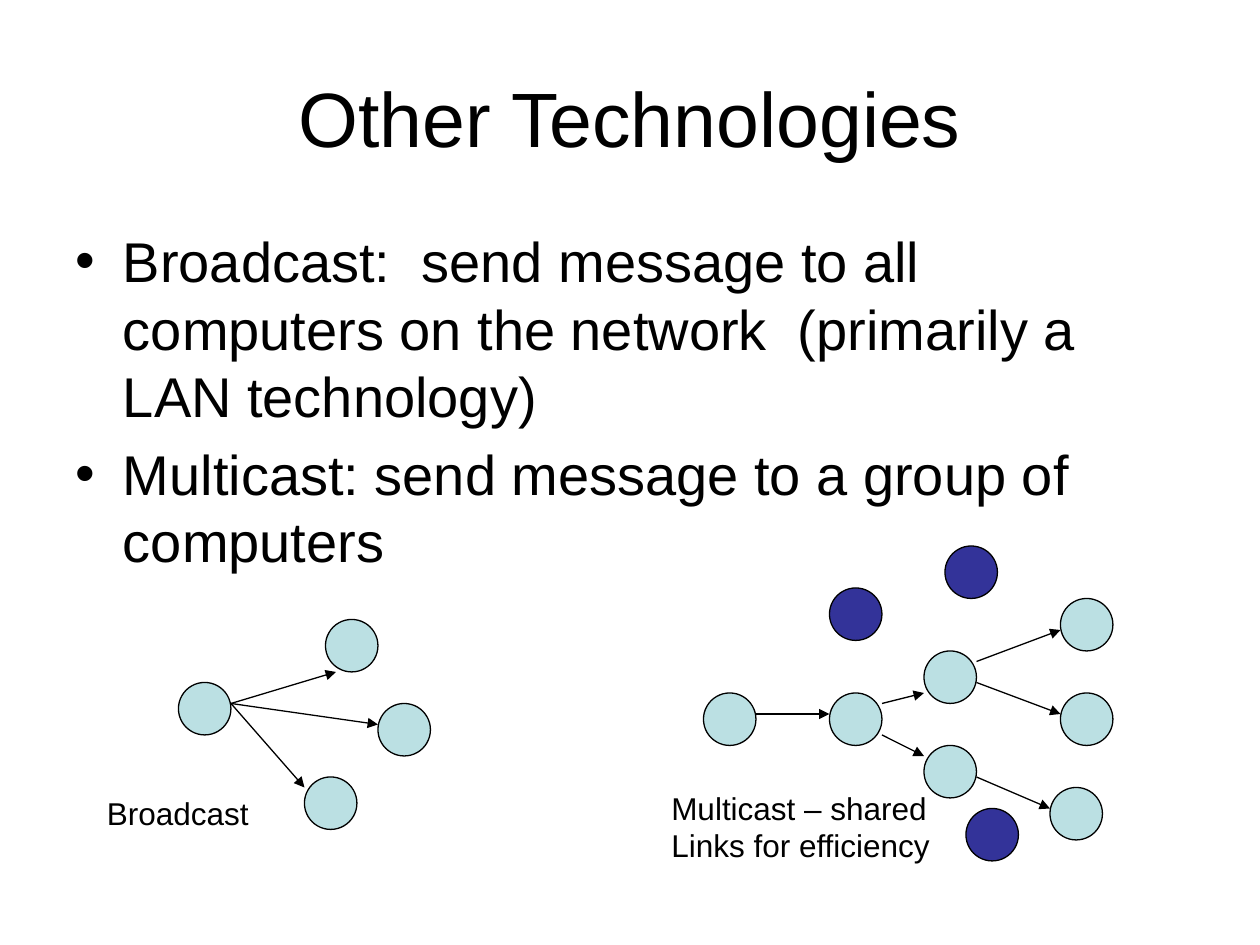
from typing import NamedTuple

from lxml.etree import SubElement
from pptx import Presentation
from pptx.dml.color import RGBColor
from pptx.enum.shapes import MSO_CONNECTOR, MSO_SHAPE
from pptx.enum.text import MSO_ANCHOR, MSO_AUTO_SIZE, PP_ALIGN
from pptx.oxml.ns import qn
from pptx.util import Inches, Pt

GRID_STEPS_PER_INCH = 12
NODE_STEPS = 5
MEMBER, OUTSIDER, INK = "BBE0E3", "333399", "000000"


class Node(NamedTuple):
    column: int
    row: int
    color: str = MEMBER


class Link(NamedTuple):
    start: tuple[int, int]
    end: tuple[int, int]


class Caption(NamedTuple):
    left: float
    top: float
    width: float
    height: float
    text: str


BROADCAST_NODES = [Node(17, 65), Node(29, 74), Node(36, 67), Node(31, 59)]
BROADCAST_LINKS = [Link((22, 67), end) for end in ((32, 64), (36, 69), (29, 75))]

MULTICAST_NODES = [
    Node(67, 66), Node(79, 66),
    Node(88, 71), Node(88, 62),
    Node(100, 75), Node(101, 66), Node(101, 57),
    Node(92, 77, OUTSIDER), Node(90, 52, OUTSIDER), Node(79, 56, OUTSIDER),
]
MULTICAST_LINKS = [
    Link((72, 68), (79, 68)),
    Link((84, 67), (88, 66)), Link((84, 70), (88, 72)),
    Link((93, 63), (101, 60)), Link((93, 65), (101, 68)),
    Link((93, 74), (100, 77)),
]

CAPTIONS = [
    Caption(0.75, 6.25, 1.33, 0.4, "Broadcast"),
    Caption(5.23, 6.21, 2.26, 0.7, "Multicast – shared\nLinks for efficiency"),
]

DEFINITIONS = [
    "Broadcast:  send message to all computers on the network  (primarily a LAN technology)",
    "Multicast: send message to a group of computers",
]


def rgb(code: str) -> RGBColor:
    return RGBColor.from_string(code)


def grid(steps: int) -> int:
    """Convert grid steps to a slide length."""
    return Inches(steps / GRID_STEPS_PER_INCH)


def style_text(frame, size: int) -> None:
    for paragraph in frame.paragraphs:
        for run in paragraph.runs:
            run.font.name = "Arial"
            run.font.size = Pt(size)
            run.font.color.rgb = rgb(INK)


def place(shape, left: float, top: float, width: float, height: float) -> None:
    shape.left, shape.top = Inches(left), Inches(top)
    shape.width, shape.height = Inches(width), Inches(height)


def draw_node(slide, node: Node) -> None:
    circle = slide.shapes.add_shape(
        MSO_SHAPE.OVAL, grid(node.column), grid(node.row), grid(NODE_STEPS), grid(NODE_STEPS)
    )
    circle.shadow.inherit = False
    circle.fill.solid()
    circle.fill.fore_color.rgb = rgb(node.color)
    circle.line.color.rgb = rgb(INK)
    circle.line.width = Pt(0.75)


def draw_link(slide, link: Link) -> None:
    arrow = slide.shapes.add_connector(
        MSO_CONNECTOR.STRAIGHT, *map(grid, link.start), *map(grid, link.end)
    )
    arrow.line.color.rgb = rgb(INK)
    arrow.line.width = Pt(0.75)
    SubElement(arrow.line._get_or_add_ln(), qn("a:tailEnd"), type="triangle")
    SubElement(arrow._element.spPr, qn("a:effectLst"))


def draw_caption(slide, caption: Caption) -> None:
    box = slide.shapes.add_textbox(*map(Inches, caption[:4]))
    frame = box.text_frame
    frame.text = caption.text
    frame.word_wrap = False
    frame.auto_size = MSO_AUTO_SIZE.SHAPE_TO_FIT_TEXT
    style_text(frame, 18)


def fill_title(slide) -> None:
    title = slide.shapes.title
    place(title, 0.5, 0.3, 9, 1.25)
    frame = title.text_frame
    frame.text = "Other Technologies"
    frame.vertical_anchor = MSO_ANCHOR.MIDDLE
    frame.auto_size = MSO_AUTO_SIZE.NONE
    frame.paragraphs[0].alignment = PP_ALIGN.CENTER
    style_text(frame, 44)


def fill_definitions(slide) -> None:
    body = slide.placeholders[1]
    place(body, 0.5, 1.75, 9, 4.95)
    frame = body.text_frame
    frame.text = "\n".join(DEFINITIONS)
    frame.auto_size = MSO_AUTO_SIZE.NONE
    frame.paragraphs[0].space_before = Pt(0)
    style_text(frame, 32)


def main() -> None:
    deck = Presentation()
    deck.slide_width, deck.slide_height = Inches(10), Inches(7.5)
    slide = deck.slides.add_slide(deck.slide_layouts[1])
    slide.background.fill.solid()
    slide.background.fill.fore_color.rgb = rgb("FFFFFF")

    fill_title(slide)
    fill_definitions(slide)
    for node in BROADCAST_NODES + MULTICAST_NODES:
        draw_node(slide, node)
    for link in BROADCAST_LINKS + MULTICAST_LINKS:
        draw_link(slide, link)
    for caption in CAPTIONS:
        draw_caption(slide, caption)

    deck.save("out.pptx")


if __name__ == "__main__":
    main()
